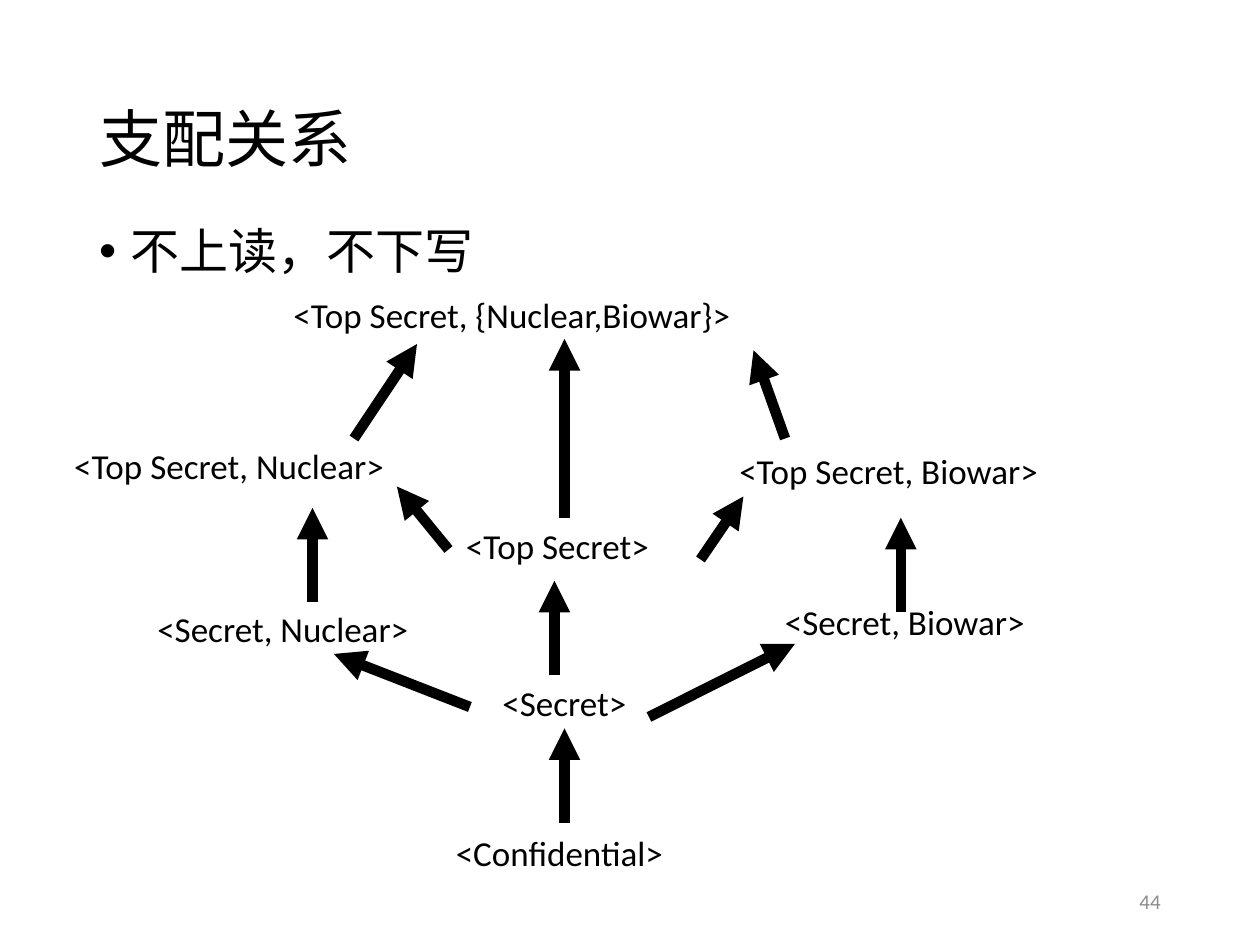
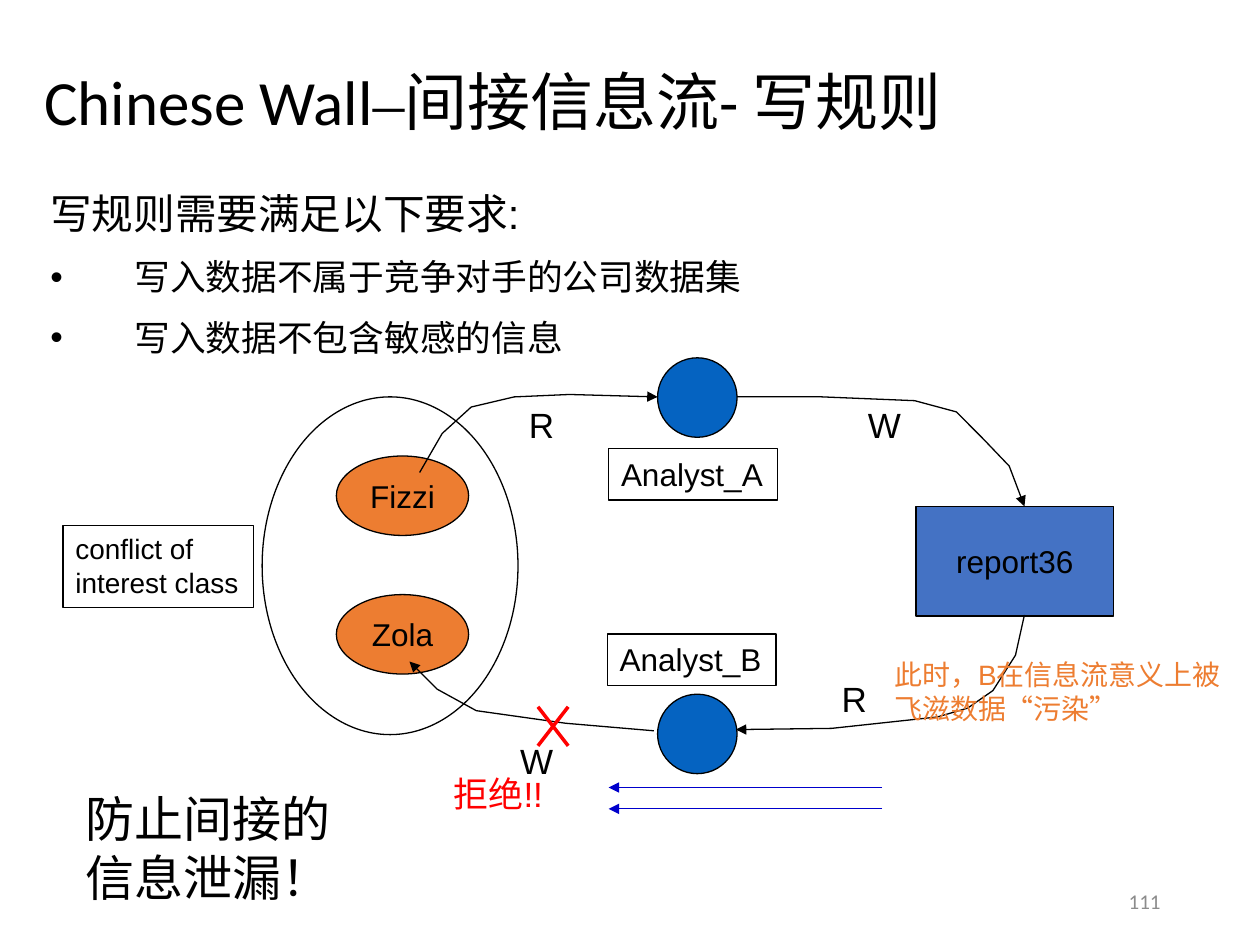
from lxml.etree import SubElement
from pptx import Presentation
from pptx.dml.color import RGBColor
from pptx.enum.shapes import MSO_CONNECTOR as Connector, MSO_SHAPE as Preset
from pptx.enum.text import MSO_ANCHOR as Anchor, MSO_AUTO_SIZE as AutoSize, PP_ALIGN as Align
from pptx.oxml.ns import qn
from pptx.util import Pt

BLACK = RGBColor(0x00, 0x00, 0x00)
GREY = RGBColor(0x8C, 0x8C, 0x8C)
ORANGE = RGBColor(0xED, 0x7D, 0x31)
ANALYST_BLUE = RGBColor(0x05, 0x63, 0xC1)
REPORT_BLUE = RGBColor(0x44, 0x72, 0xC4)
ARROW_BLUE = RGBColor(0x00, 0x00, 0xCC)
RED = RGBColor(0xFF, 0x00, 0x00)
HEADING_FONT, DIAGRAM_FONT, DASH_FONT = "Calibri", "Arial", "Times New Roman"
THIN = 0.75


def points(values):
    """Convert numbers in points to lengths."""
    return [Pt(value) for value in values]


def place(shape, box):
    """Move and size a shape by left, top, width and height in points."""
    shape.left, shape.top, shape.width, shape.height = points(box)


def add_run(paragraph, text, size, font, color=BLACK):
    """Append one formatted run."""
    run = paragraph.add_run()
    run.text = text
    run.font.size = Pt(size)
    run.font.name = font
    run.font.color.rgb = color


def add_title(slide, box, runs):
    """Fill the title placeholder with (text, font) runs."""
    title = slide.shapes.title
    place(title, box)
    frame = title.text_frame
    frame.auto_size = AutoSize.NONE
    frame.vertical_anchor = Anchor.MIDDLE
    paragraph = frame.paragraphs[0]
    paragraph.alignment = Align.LEFT
    paragraph.line_spacing = 0.9
    for text, font in runs:
        add_run(paragraph, text, 36, font)


def add_body(slide, box, items, font, indent, line_spacing):
    """Fill the body placeholder with (text, size, bulleted) items."""
    body = slide.placeholders[1]
    place(body, box)
    frame = body.text_frame
    frame.auto_size = AutoSize.NONE
    for index, (text, size, bulleted) in enumerate(items):
        paragraph = frame.add_paragraph() if index else frame.paragraphs[0]
        properties = paragraph._p.get_or_add_pPr()
        properties.set("marL", str(Pt(indent)))
        properties.set("indent", str(-Pt(indent)))
        if not bulleted:
            SubElement(properties, qn("a:buNone"))
        paragraph.space_before = Pt(10 if index else 0)
        paragraph.line_spacing = line_spacing
        add_run(paragraph, text, size, font)


def add_label(slide, text, box, size=20, font=DIAGRAM_FONT, color=BLACK, wrap=True):
    """Add a text box and return it."""
    label = slide.shapes.add_textbox(*points(box))
    label.text_frame.word_wrap = wrap
    add_run(label.text_frame.paragraphs[0], text, size, font, color)
    return label


def add_page_number(slide, number):
    """Add the grey page number at the lower right."""
    label = add_label(slide, number, (508.3, 500.4, 162, 28.8), 12, HEADING_FONT, GREY)
    label.text_frame.vertical_anchor = Anchor.MIDDLE
    label.text_frame.paragraphs[0].alignment = Align.RIGHT


def add_node(slide, preset, box, fill=None, lines=(), size=18, centered=True):
    """Add an outlined shape, with an optional fill and lines of text."""
    shape = slide.shapes.add_shape(preset, *points(box))
    shape.shadow.inherit = False
    if fill is None:
        shape.fill.background()
    else:
        shape.fill.solid()
        shape.fill.fore_color.rgb = fill
    shape.line.color.rgb = BLACK
    shape.line.width = Pt(THIN)
    frame = shape.text_frame
    frame.word_wrap = False
    frame.vertical_anchor = Anchor.MIDDLE if centered else Anchor.TOP
    for index, text in enumerate(lines):
        paragraph = frame.add_paragraph() if index else frame.paragraphs[0]
        paragraph.alignment = Align.CENTER if centered else Align.LEFT
        add_run(paragraph, text, size, DIAGRAM_FONT)


def style_line(line, color, width, arrow):
    """Colour a line and put a triangle at its end if asked."""
    line.color.rgb = color
    line.width = Pt(width)
    if arrow:
        SubElement(line._get_or_add_ln(), qn("a:tailEnd"), type="triangle")


def add_line(slide, ends, color=BLACK, width=THIN, arrow=True):
    """Add a straight line from x1, y1 to x2, y2."""
    connector = slide.shapes.add_connector(Connector.STRAIGHT, *points(ends))
    style_line(connector.line, color, width, arrow)
    SubElement(connector._element.spPr, qn("a:effectLst"))


def add_flow(slide, vertices):
    """Add an open bent arrow through the vertices."""
    start, *rest = [tuple(points(vertex)) for vertex in vertices]
    builder = slide.shapes.build_freeform(*start)
    builder.add_line_segments(rest, close=False)
    flow = builder.convert_to_shape()
    flow.fill.background()
    flow.shadow.inherit = False
    style_line(flow.line, BLACK, THIN, True)


def build_dominance(slide):
    """Build the lattice of security levels."""
    add_title(slide, (49.5, 28.8, 621, 104.4), [("支配关系", HEADING_FONT)])
    add_body(slide, (49.5, 126, 621, 342.7), [("不上读，不下写", 28, True)], HEADING_FONT, 18, 0.9)
    levels = [
        ("<Confidential>", 253.4, 471.6, 163),
        ("<Secret>", 280, 385.9, 163),
        ("<Top Secret>", 259.2, 295.9, 163),
        ("<Secret, Biowar>", 441.4, 339.8, 211),
        ("<Secret, Nuclear>", 82.8, 343.4, 211),
        ("<Top Secret, Biowar>", 415.4, 253.4, 258),
        ("<Top Secret, Nuclear>", 35.3, 250.6, 258),
        ("<Top Secret, {Nuclear,Biowar}>", 160.6, 164.2, 384),
    ]
    dominances = [
        (268.5, 404, 190.8, 373.7), (370.8, 409.7, 454.3, 367.9),
        (178.6, 344.2, 178.6, 290.2), (316.8, 385.9, 316.8, 331.9),
        (514.8, 349.9, 514.8, 295.9), (256.3, 314, 226.8, 278),
        (400.3, 319.7, 424.8, 283.7), (322.6, 295.9, 322.6, 193.7),
        (202.3, 250.6, 238.3, 196.6), (448.6, 250.6, 430.6, 200.2),
        (322.6, 470.2, 322.6, 416.2),
    ]
    for ends in dominances:
        add_line(slide, ends, width=6)
    for text, left, top, width in levels:
        add_label(slide, text, (left, top, width, 31.7), font=HEADING_FONT)
    add_page_number(slide, "44")


def build_chinese_wall(slide):
    """Build the indirect information flow diagram."""
    add_title(slide, (18, 18, 684, 84.2), [
        ("Chinese Wall", HEADING_FONT), ("–间", DASH_FONT), ("接信息流- 写规则", HEADING_FONT)])
    add_body(slide, (21.6, 103.7, 684, 385.9), [
        ("写规则需要满足以下要求:", 23.8, False),
        ("写入数据不属于竞争对手的公司数据集", 20.4, True),
        ("写入数据不包含敏感的信息", 20.4, True)], DIAGRAM_FONT, 48, 1.0)

    for company, top in (("Fizzi", 260.6), ("Zola", 339.8)):
        add_node(slide, Preset.OVAL, (192.2, top, 75.6, 45.4), ORANGE, [company])
    add_node(slide, Preset.OVAL, (149.8, 226.8, 146.2, 193))
    for top in (204.5, 396.7):
        add_node(slide, Preset.OVAL, (375.8, top, 45.4, 45.4), ANALYST_BLUE)
    add_node(slide, Preset.RECTANGLE, (523.4, 289.4, 113, 62.6), REPORT_BLUE, ["report36"])
    for analyst, left, top in (("Analyst_A", 347.8, 256.3), ("Analyst_B", 347, 362.2)):
        add_node(slide, Preset.RECTANGLE, (left, top, 96.5, 29.5), None, [analyst], centered=False)
    add_node(slide, Preset.RECTANGLE, (36, 300.2, 108.7, 46.8), None,
             ["conflict of", "interest class"], 16, False)

    flows = [
        [(239.8, 270), (252.7, 247.7), (269.3, 232.6), (293.8, 226.8), (325.4, 225.4), (375.8, 226.8)],
        [(373.7, 417.6), (323.3, 413.3), (272.2, 406.1), (249.8, 393.8), (234, 378)],
        [(421.2, 226.8), (469.4, 226.8), (522.7, 229), (546.5, 235.4), (562.3, 251.3),
         (576.7, 266.4), (585.4, 289.4)],
        [(585.4, 351.4), (580.3, 374.4), (567.4, 394.6), (553, 404.6), (535.7, 409.7),
         (475.2, 416.2), (420.5, 416.9)],
    ]
    for vertices in flows:
        add_flow(slide, vertices)
    operations = [("R", 295.2, 226.8), ("R", 473.8, 383.8), ("W", 488.9, 226.8), ("W", 290.2, 419)]
    for operation, left, top in operations:
        add_label(slide, operation, (left, top, 33, 31), wrap=False)

    for start, end in ((307.4, 324.7), (324.7, 307.4)):
        add_line(slide, (start, 403.9, end, 426.2), RED, 2, False)
    add_label(slide, "此时，B在信息流意义上被飞滋数据“污染”", (504, 372.2, 215.3, 46), 16, color=ORANGE)
    add_label(slide, "拒绝!!", (252, 437.8, 138.2, 31), color=RED)
    for height in (450, 462.2):
        add_line(slide, (504, height, 347.8, height), ARROW_BLUE)
    add_label(slide, "防止间接的信息泄漏！", (41.8, 447.1, 177.1, 74.9), 28, HEADING_FONT)
    add_page_number(slide, "111")


def main():
    """Build and save both slides."""
    presentation = Presentation()
    presentation.slide_width, presentation.slide_height = Pt(720), Pt(540)
    layout = presentation.slide_layouts[1]
    for build in (build_dominance, build_chinese_wall):
        build(presentation.slides.add_slide(layout))
    presentation.save("out.pptx")


if __name__ == "__main__":
    main()
